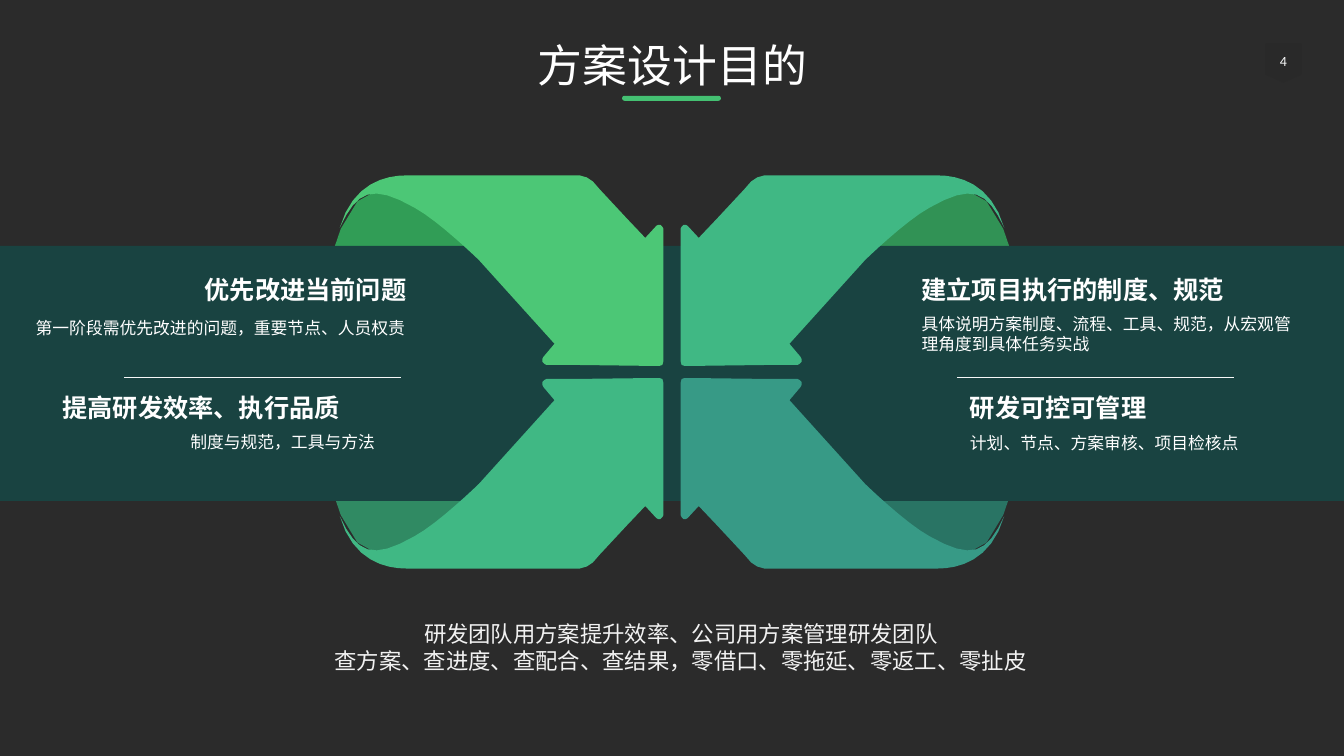
from lxml import etree
from pptx import Presentation
from pptx.dml.color import RGBColor
from pptx.enum.shapes import MSO_CONNECTOR, MSO_SHAPE
from pptx.enum.text import MSO_ANCHOR, MSO_AUTO_SIZE, PP_ALIGN
from pptx.oxml.ns import qn
from pptx.util import Inches, Pt

LEFT, CENTER, RIGHT = PP_ALIGN.LEFT, PP_ALIGN.CENTER, PP_ALIGN.RIGHT
MIDDLE, GROW = MSO_ANCHOR.MIDDLE, MSO_AUTO_SIZE.SHAPE_TO_FIT_TEXT
RECTANGLE, ROUNDED = MSO_SHAPE.RECTANGLE, MSO_SHAPE.ROUNDED_RECTANGLE
STRAIGHT = MSO_CONNECTOR.STRAIGHT

FONT = "Calibri"
BACKGROUND = RGBColor(0x2B, 0x2B, 0x2B)
BAND = RGBColor(0x19, 0x43, 0x41)
ACCENT = RGBColor(0x44, 0xC0, 0x72)
BADGE = RGBColor(0x29, 0x29, 0x29)
BADGE_TEXT = RGBColor(0xF9, 0xFA, 0xFA)
WHITE = RGBColor(0xFF, 0xFF, 0xFF)
RULE = RGBColor(0xF6, 0xF8, 0xF8)
SUMMARY = RGBColor(0xF2, 0xF2, 0xF2)

# Grid of 1333 columns by 750 rows
CELL = Inches(0.01)
COLUMNS, ROWS = 1333, 750
MIRROR_ROWS = 738  # a row and its mirrored row add up to this
CURVE_STEPS = 8

# Each quadrant: mirrored across, mirrored down, arrow colour, fold colour
QUADRANTS = [
    (False, False, RGBColor(0x4C, 0xC7, 0x76), RGBColor(0x31, 0x9D, 0x56)),
    (True, False, RGBColor(0x40, 0xB8, 0x84), RGBColor(0x31, 0x92, 0x55)),
    (False, True, RGBColor(0x40, 0xB8, 0x84), RGBColor(0x30, 0x8A, 0x63)),
    (True, True, RGBColor(0x37, 0x9A, 0x86), RGBColor(0x29, 0x74, 0x64)),
]

# Top left outlines: two numbers are a line, six are a Bézier curve
FOLD = [(508, 222), (488, 273), (299, 358),
        (299, 358, 324, 265, 338, 227), (370, 133, 508, 222, 508, 222)]
ARROW = [
    (648, 363), (568, 362), (542, 362), (540, 361), (538, 359), (538, 356),
    (539, 354), (550, 341), (475, 258),
    (475, 258, 435, 219, 411, 206), (369, 182, 354, 189, 337, 226),
    (350, 181, 383, 174, 403, 174), (568, 174), (575, 174), (582, 176),
    (588, 180), (595, 188), (622, 217), (640, 236), (651, 224), (653, 223),
    (655, 223), (657, 225), (658, 227), (658, 358), (657, 362), (654, 363),
]
BADGE_OUTLINE = [(1255, 43), (1291, 43), (1291, 74), (1273, 82), (1255, 74)]

presentation = Presentation()
presentation.slide_width = COLUMNS * CELL
presentation.slide_height = ROWS * CELL
slide = presentation.slides.add_slide(presentation.slide_layouts[6])
slide.background.fill.solid()
slide.background.fill.fore_color.rgb = BACKGROUND
shapes = slide.shapes


def add_outline(outline, color, across=False, down=False):
    points = []
    for segment in outline:
        if len(segment) == 2:
            points.append(segment)
            continue
        x0, y0 = points[-1]
        x1, y1, x2, y2, x3, y3 = segment
        for step in range(1, CURVE_STEPS + 1):
            t = step / CURVE_STEPS
            a, b, c, d = (1 - t) ** 3, 3 * t * (1 - t) ** 2, 3 * t * t * (1 - t), t ** 3
            points.append((a * x0 + b * x1 + c * x2 + d * x3,
                           a * y0 + b * y1 + c * y2 + d * y3))
    placed = [((COLUMNS - x if across else x) * CELL,
               (MIRROR_ROWS - y if down else y) * CELL) for x, y in points]
    builder = shapes.build_freeform(*placed[0], scale=1.0)
    builder.add_line_segments(placed[1:], close=True)
    shape = builder.convert_to_shape()
    shape.shadow.inherit = False
    shape.fill.solid()
    shape.fill.fore_color.rgb = color
    shape.line.fill.background()
    return shape


def write_text(shape, lines, size, color, align, bold=False, spacing=None):
    frame = shape.text_frame
    frame.word_wrap = True
    frame.margin_left = frame.margin_right = 0
    frame.margin_top = frame.margin_bottom = 0
    for index, line in enumerate(lines):
        paragraph = frame.add_paragraph() if index else frame.paragraphs[0]
        paragraph.alignment = align
        paragraph.line_spacing = spacing
        run = paragraph.add_run()
        run.text = line
        run.font.name = FONT
        run.font.size = Pt(size)
        run.font.bold = bold
        run.font.color.rgb = color
    return frame


# Folds behind the band
for across, down, arrow_color, fold_color in QUADRANTS:
    add_outline(FOLD, fold_color, across, down)

# Band and title underline
for kind, color, box in [(RECTANGLE, BAND, (0, 244, COLUMNS, 253)),
                         (ROUNDED, ACCENT, (617, 95, 98, 5))]:
    bar = shapes.add_shape(kind, *[CELL * length for length in box])
    bar.shadow.inherit = False
    bar.fill.solid()
    bar.fill.fore_color.rgb = color
    bar.line.fill.background()
bar.adjustments[0] = 0.5

# Page number badge
badge = add_outline(BADGE_OUTLINE, BADGE)
badge_frame = write_text(badge, ["4"], 10, BADGE_TEXT, CENTER)
badge_frame.vertical_anchor = MIDDLE
badge_frame.margin_top, badge_frame.margin_bottom = 8 * CELL, 12 * CELL

# Arrows over the band
for across, down, arrow_color, fold_color in QUADRANTS:
    add_outline(ARROW, arrow_color, across, down)

# Title, headings with their details, and summary
TEXTS = [
    ((193, 43, 948, 48), ["方案设计目的"], 32, WHITE, CENTER, False, 0.9),
    ((93, 272, 310, 30), ["优先改进当前问题"], 18, WHITE, RIGHT, True, None),
    ((30, 315, 372, 20), ["第一阶段需优先改进的问题，重要节点、人员权责"],
     12, WHITE, RIGHT, False, None),
    ((62, 389, 310, 30), ["提高研发效率、执行品质"], 18, WHITE, LEFT, True, None),
    ((30, 428, 342, 20), ["制度与规范，工具与方法"], 12, WHITE, RIGHT, False, None),
    ((914, 272, 310, 30), ["建立项目执行的制度、规范"], 18, WHITE, LEFT, True, None),
    ((914, 311, 377, 40), ["具体说明方案制度、流程、工具、规范，从宏观管理角度到具体任务实战"],
     12, WHITE, LEFT, False, None),
    ((962, 389, 310, 30), ["研发可控可管理"], 18, WHITE, LEFT, True, None),
    ((962, 429, 351, 20), ["计划、节点、方案审核、项目检核点"], 12, WHITE, LEFT, False, None),
    ((189, 615, 973, 54), ["研发团队用方案提升效率、公司用方案管理研发团队",
                           "查方案、查进度、查配合、查结果，零借口、零拖延、零返工、零扯皮"],
     16, SUMMARY, CENTER, False, None),
]
for box, *text in TEXTS:
    text_box = shapes.add_textbox(*[CELL * length for length in box])
    write_text(text_box, *text).auto_size = GROW

# Divider on each side
for start in (123, 949):
    divider = shapes.add_connector(STRAIGHT, start * CELL, 374 * CELL,
                                   (start + 275) * CELL, 374 * CELL)
    divider.line.color.rgb = RULE
    divider.line.width = Pt(0.5)
    etree.SubElement(divider.element.spPr, qn("a:effectLst"))

presentation.save("out.pptx")
